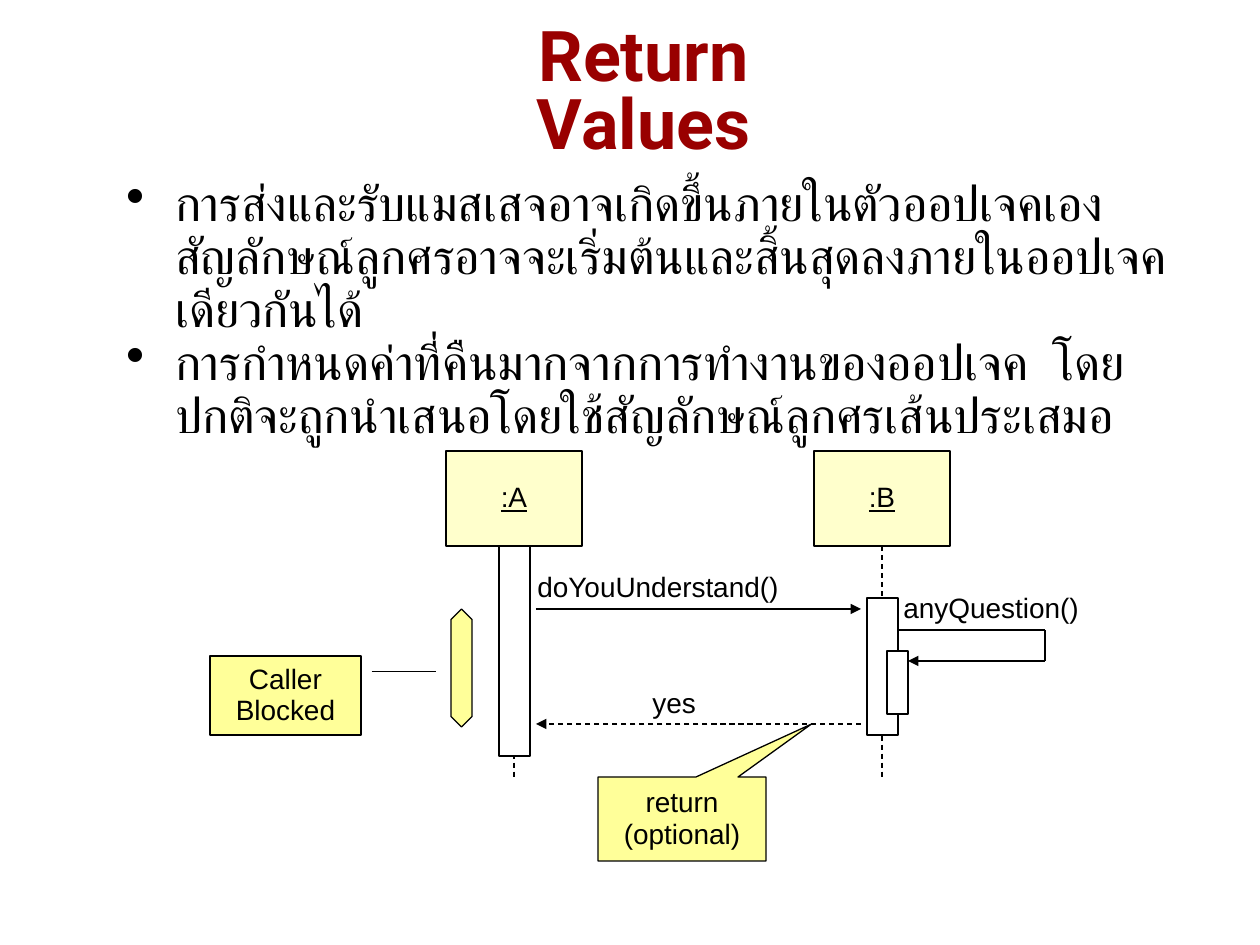
from lxml import etree
from pptx import Presentation
from pptx.dml.color import RGBColor
from pptx.enum.dml import MSO_LINE_DASH_STYLE as Dash
from pptx.enum.shapes import MSO_CONNECTOR as Connector, MSO_SHAPE as Shape
from pptx.enum.text import MSO_ANCHOR as Anchor, PP_ALIGN as Align
from pptx.oxml.ns import qn
from pptx.util import Pt

SCALE = 914400 / 126
BLACK, WHITE = "000000", "FFFFFF"
TITLE_RED, OBJECT_CREAM, NOTE_YELLOW = "990000", "FFFFCC", "FFFF99"


def px(length):
    return round(length * SCALE)


def color(hex_string):
    return RGBColor.from_string(hex_string)


def add_run(paragraph, text, size, font, hex_string=BLACK, bold=None, underline=None):
    run = paragraph.add_run()
    run.text = text
    run.font.size = Pt(size)
    run.font.name = font
    run.font.bold = bold
    run.font.underline = underline
    run.font.color.rgb = color(hex_string)


def add_text_frame(slide, box):
    frame = slide.shapes.add_textbox(*map(px, box)).text_frame
    frame.word_wrap = True
    frame.margin_left = frame.margin_right = 0
    frame.margin_top = frame.margin_bottom = 0
    return frame


def add_block(slide, kind, box, fill, text="", underline=None, wrap=True, adjustments=()):
    shape = slide.shapes.add_shape(kind, *map(px, box))
    shape.shadow.inherit = False
    shape.fill.solid()
    shape.fill.fore_color.rgb = color(fill)
    shape.line.color.rgb = color(BLACK)
    shape.line.width = Pt(0.75)
    for index, value in enumerate(adjustments):
        shape.adjustments[index] = value
    if text:
        frame = shape.text_frame
        frame.word_wrap = wrap
        frame.vertical_anchor = Anchor.MIDDLE
        paragraph = frame.paragraphs[0]
        paragraph.alignment = Align.CENTER
        paragraph.line_spacing = 0.93
        add_run(paragraph, text, 16, "Arial", underline=underline)


def add_line(slide, start, end, dashed=False, arrow=False):
    line = slide.shapes.add_connector(Connector.STRAIGHT, *map(px, start + end))
    line.line.color.rgb = color(BLACK)
    line.line.width = Pt(0.75)
    if dashed:
        line.line.dash_style = Dash.DASH
    if arrow:
        etree.SubElement(line.line._get_or_add_ln(), qn("a:tailEnd"), type="triangle")
    etree.SubElement(line._element.spPr, qn("a:effectLst"))


def add_label(slide, box, text):
    frame = slide.shapes.add_textbox(*map(px, box)).text_frame
    frame.word_wrap = False
    paragraph = frame.paragraphs[0]
    paragraph.line_spacing = 0.93
    add_run(paragraph, text, 16, "Arial")


def add_title(slide, box, text):
    frame = add_text_frame(slide, box)
    frame.vertical_anchor = Anchor.MIDDLE
    paragraph = frame.paragraphs[0]
    paragraph.alignment = Align.CENTER
    paragraph.line_spacing = 0.81
    add_run(paragraph, text, 40, "Roboto", TITLE_RED, bold=True)


def add_bullets(slide, box, texts):
    frame = add_text_frame(slide, box)
    for index, text in enumerate(texts):
        paragraph = frame.paragraphs[0] if index == 0 else frame.add_paragraph()
        paragraph.line_spacing = 0.9
        properties = paragraph._p.get_or_add_pPr()
        properties.set("marL", str(px(49)))
        properties.set("indent", str(-px(49)))
        bullet_color = etree.SubElement(properties, qn("a:buClr"))
        etree.SubElement(bullet_color, qn("a:srgbClr"), val=BLACK)
        etree.SubElement(properties, qn("a:buSzPct"), val="110000")
        etree.SubElement(properties, qn("a:buChar"), char="•")
        add_run(paragraph, text, 28, "Roboto")


def add_sequence_diagram(slide, left, top):
    def at(x, y, *size):
        return (left + x, top + y, *size)

    # Objects and their lifelines
    for x, name in ((236, ":A"), (604, ":B")):
        add_block(slide, Shape.RECTANGLE, at(x, 0, 136, 95), OBJECT_CREAM, name,
                  underline=True, wrap=False)
        add_line(slide, at(x + 68, 95), at(x + 68, 326), dashed=True)

    # Activation bars
    add_block(slide, Shape.RECTANGLE, at(289, 95, 31, 210), WHITE)
    add_block(slide, Shape.RECTANGLE, at(657, 147, 31, 137), WHITE)

    # Call and return messages
    add_line(slide, at(326, 158), at(651, 158), arrow=True)
    add_label(slide, at(315, 115, 270, 44), "doYouUnderstand()")
    add_line(slide, at(651, 273), at(326, 273), dashed=True, arrow=True)

    # Notes
    add_block(slide, Shape.UP_DOWN_ARROW, at(241, 158, 21, 118), NOTE_YELLOW,
              adjustments=(0.5, 1.12))
    add_block(slide, Shape.LINE_CALLOUT_1, at(0, 205, 151, 79), NOTE_YELLOW,
              "Caller Blocked", adjustments=(0.2, 1.07, 0.2, 1.5))
    add_block(slide, Shape.RECTANGULAR_CALLOUT, at(388, 326, 168, 84), NOTE_YELLOW,
              "return (optional)", adjustments=(0.77, -1.13))
    add_label(slide, at(430, 231, 69, 44), "yes")

    # Message from B to itself
    corners = [at(688, 179), at(835, 179), at(835, 210), at(698, 210)]
    for start, end in zip(corners, corners[1:]):
        add_line(slide, start, end, arrow=end == corners[-1])
    add_block(slide, Shape.RECTANGLE, at(677, 200, 21, 63), WHITE)
    add_label(slide, at(681, 136, 203, 44), "anyQuestion()")


presentation = Presentation()
presentation.slide_width, presentation.slide_height = px(1260), px(945)
slide = presentation.slides.add_slide(presentation.slide_layouts[6])

add_title(slide, (438, 16, 411, 158), "Return Values")
add_bullets(slide, (126, 179, 1052, 546), (
    "การส่งและรับแมสเสจอาจเกิดขึ้นภายในตัวออปเจคเอง"
    "สัญลักษณ์ลูกศรอาจจะเริ่มต้นและสิ้นสุดลงภายในออปเจคเดียวกันได้",
    "การกำหนดค่าที่คืนมากจากการทำงานของออปเจค  "
    "โดยปกติจะถูกนำเสนอโดยใช้สัญลักษณ์ลูกศรเส้นประเสมอ",
))
add_sequence_diagram(slide, 210, 451)

presentation.save("out.pptx")
